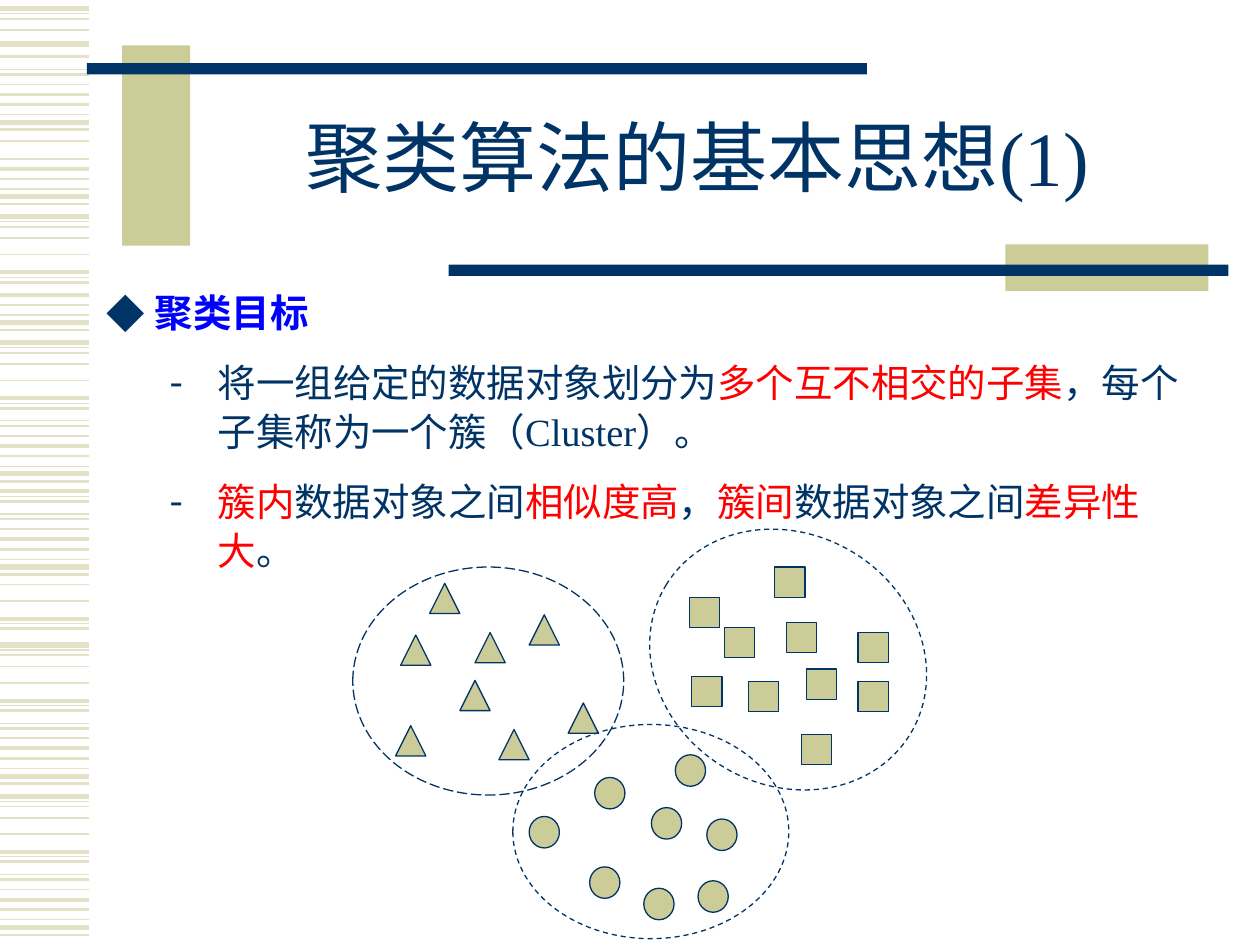
import pptx
import pptx.util
import pptx.dml.color
import pptx.enum.dml
import pptx.enum.shapes
import pptx.enum.text
import pptx.oxml.ns
import lxml.etree

Inches = pptx.util.Inches
Pt = pptx.util.Pt
SHAPE = pptx.enum.shapes.MSO_SHAPE
DASH = pptx.enum.dml.MSO_LINE
ALIGN = pptx.enum.text.PP_ALIGN
ANCHOR = pptx.enum.text.MSO_ANCHOR

COLORS = {"navy": "003366", "khaki": "CCCC99", "stripe": "E3E2C7",
          "blue": "0000FF", "red": "FF0000"}
CJK, LATIN = "Noto Sans CJK SC", "Times New Roman"


def color(name):
    return pptx.dml.color.RGBColor.from_string(COLORS[name])


def font_for(text):
    return LATIN if text.isascii() else CJK


def set_all(target, values):
    for name, value in values.items():
        setattr(target, name, value)


def add_xml(parent, tag, **attributes):
    return lxml.etree.SubElement(parent, pptx.oxml.ns.qn(tag), attributes)


class Painter:
    """Holds the shared style and the current slide."""
    line_width = 0.75
    body_size = 22
    body_format = {"line_spacing": Pt(28), "space_before": Pt(6), "space_after": Pt(6)}

    def __init__(self, page):
        self.page = page

    def stripe(self, y, width):
        line = self.page.shapes.add_connector(
            pptx.enum.shapes.MSO_CONNECTOR.STRAIGHT,
            Inches(0), Inches(y), Inches(0.71), Inches(y))
        line.line.color.rgb = color("stripe")
        line.line.width = Pt(width)
        add_xml(line._element.spPr, "a:effectLst")

    def shape(self, kind, left, top, width, height, fill=None, outline=None,
              dash=None, rotation=0):
        shape = self.page.shapes.add_shape(
            kind, Inches(left), Inches(top), Inches(width), Inches(height))
        shape.shadow.inherit = False
        shape.rotation = rotation
        if fill:
            shape.fill.solid()
            shape.fill.fore_color.rgb = color(fill)
        else:
            shape.fill.background()
        if outline:
            shape.line.color.rgb = color(outline)
            set_all(shape.line, {"width": Pt(self.line_width), "dash_style": dash})
        else:
            shape.line.fill.background()

    def text_box(self, left, top, width, height, anchor):
        box = self.page.shapes.add_textbox(
            Inches(left), Inches(top), Inches(width), Inches(height))
        set_all(box.text_frame, {"word_wrap": True, "vertical_anchor": anchor})
        return box.text_frame

    def span(self, para, text, tint, size, font=CJK, bold=False):
        span = para.add_run()
        span.text = text
        set_all(span.font, {"name": font, "size": Pt(size), "bold": bold})
        span.font.color.rgb = color(tint)
        add_xml(span._r.get_or_add_rPr(), "a:ea", typeface=CJK)

    def bullet(self, para, mark, indent, level):
        set_all(para, self.body_format)
        para.level = level
        properties = para._p.get_or_add_pPr()
        properties.set("marL", str(Inches(indent)))
        properties.set("indent", str(-Inches(0.38)))
        properties.set("hangingPunct", "0")
        tint = add_xml(properties, "a:buClr")
        add_xml(tint, "a:srgbClr", val=COLORS["navy"])
        add_xml(properties, "a:buFont", typeface=font_for(mark))
        add_xml(properties, "a:buChar", char=mark)


# Stripe pattern: offset from the base line and weight, from the bottom up
PATTERN = [(0.06, 1.5), (0, 3), (-0.06, 0.75), (-0.14, 1.5), (-0.22, 2.25),
           (-0.3, 1), (-0.38, 1.5), (-0.42, 0.75), (-0.52, 1.5), (-0.56, 0.75),
           (-0.6, 2.25), (-0.74, 1), (-0.87, 1), (-0.96, 1), (-1, 0.75), (-1.04, 3)]
# Base line and the slice of the pattern that each band shows
BANDS = [(7.36, 0, 16), (6.16, 0, 16), (5.51, 8, 13), (4.5, 0, 11),
         (3.76, 0, 16), (2.76, 8, 16), (2.56, 0, 5), (1.99, 12, 13),
         (1.56, 0, 6), (0.97, 0, 9), (0.35, 1, 2), (1.11, 12, 16)]

FRAME = [(0.97, 0.36, 0.54, 1.59, "khaki"), (0.69, 0.5, 6.19, 0.09, "navy"),
         (7.98, 1.94, 1.61, 0.37, "khaki"), (3.56, 2.1, 6.19, 0.09, "navy")]

# Mark, indent, level and spans of each paragraph
BODY = [
    ("◆", 0.38, 0, [("聚类目标", "blue")]),
    ("-", 0.88, 1, [("将一组给定的数据对象划分为", "navy"), ("多个互不相交的子集", "red"),
                    ("，每个子集称为一个簇（", "navy"), ("Cluster", "navy"),
                    ("）。", "navy")]),
    ("-", 0.88, 1, [("簇内", "red"), ("数据对象之间", "navy"), ("相似度高", "red"),
                    ("，", "navy"), ("簇间", "red"), ("数据对象之间", "navy"),
                    ("差异性大", "red"), ("。", "navy")]),
]

# Kind, height and positions of the members of each cluster
MEMBERS = [
    (SHAPE.FLOWCHART_EXTRACT, 0.24,
     [(3.18, 5.04), (3.65, 5.4), (3.14, 5.76), (4.51, 5.58),
      (3.96, 5.79), (3.77, 5.02), (3.41, 4.63), (4.2, 4.88)]),
    (SHAPE.FLOWCHART_PROCESS, 0.24,
     [(5.47, 4.74), (6.15, 4.5), (5.49, 5.37), (5.75, 4.98), (6.24, 4.94),
      (5.94, 5.41), (6.4, 5.31), (6.36, 5.83), (6.81, 5.02), (6.81, 5.41)]),
    (SHAPE.OVAL, 0.25,
     [(4.72, 6.17), (5.36, 5.99), (5.17, 6.41), (4.2, 6.48),
      (5.61, 6.5), (5.11, 7.05), (5.54, 6.99), (4.68, 6.88)]),
]
BOUNDARIES = [(2.8, 4.5, 2.15, 1.81, DASH.LONG_DASH, 0),
              (5.12, 4.24, 2.27, 1.99, DASH.DASH, 31.4),
              (4.07, 5.75, 2.19, 1.7, DASH.DASH, 0)]


def main():
    deck = pptx.Presentation()
    set_all(deck, {"slide_width": Inches(10), "slide_height": Inches(7.5)})
    painter = Painter(deck.slides.add_slide(deck.slide_layouts[6]))

    # Striped margin and title frame
    for base, first, last in BANDS:
        for offset, width in PATTERN[first:last]:
            painter.stripe(base + offset, width)
    for left, top, width, height, fill in FRAME:
        painter.shape(SHAPE.RECTANGLE, left, top, width, height, fill)

    # Body text
    frame = painter.text_box(0.75, 2.22, 8.98, 4.03, ANCHOR.TOP)
    for index, (mark, indent, level, spans) in enumerate(BODY):
        para = frame.add_paragraph() if index else frame.paragraphs[0]
        painter.bullet(para, mark, indent, level)
        for text, tint in spans:
            painter.span(para, text, tint, painter.body_size, font_for(text),
                         bold=level == 0)

    # Title
    title = painter.text_box(1.5, 0.67, 8.07, 1.25, ANCHOR.MIDDLE).paragraphs[0]
    set_all(title, {"alignment": ALIGN.CENTER, "line_spacing": 0.85})
    painter.span(title, "聚类算法的基本思想(1)", "navy", 44, LATIN)

    # Clusters and their boundaries
    for kind, height, places in MEMBERS:
        for left, top in places:
            painter.shape(kind, left, top, 0.24, height, "khaki", "navy")
    for left, top, width, height, dash, rotation in BOUNDARIES:
        painter.shape(SHAPE.OVAL, left, top, width, height, outline="navy",
                      dash=dash, rotation=rotation)

    deck.save("out.pptx")


if __name__ == "__main__":
    main()
